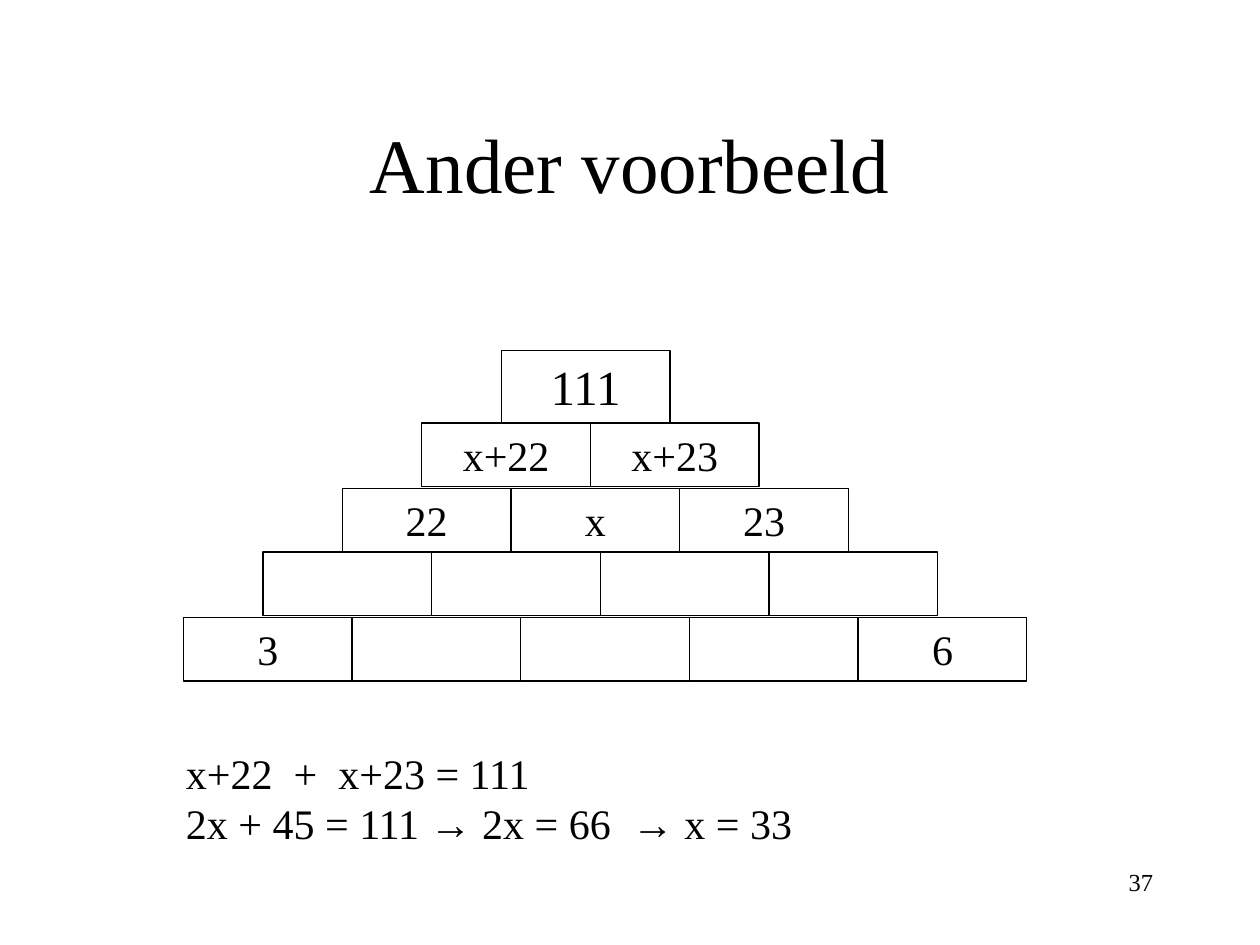
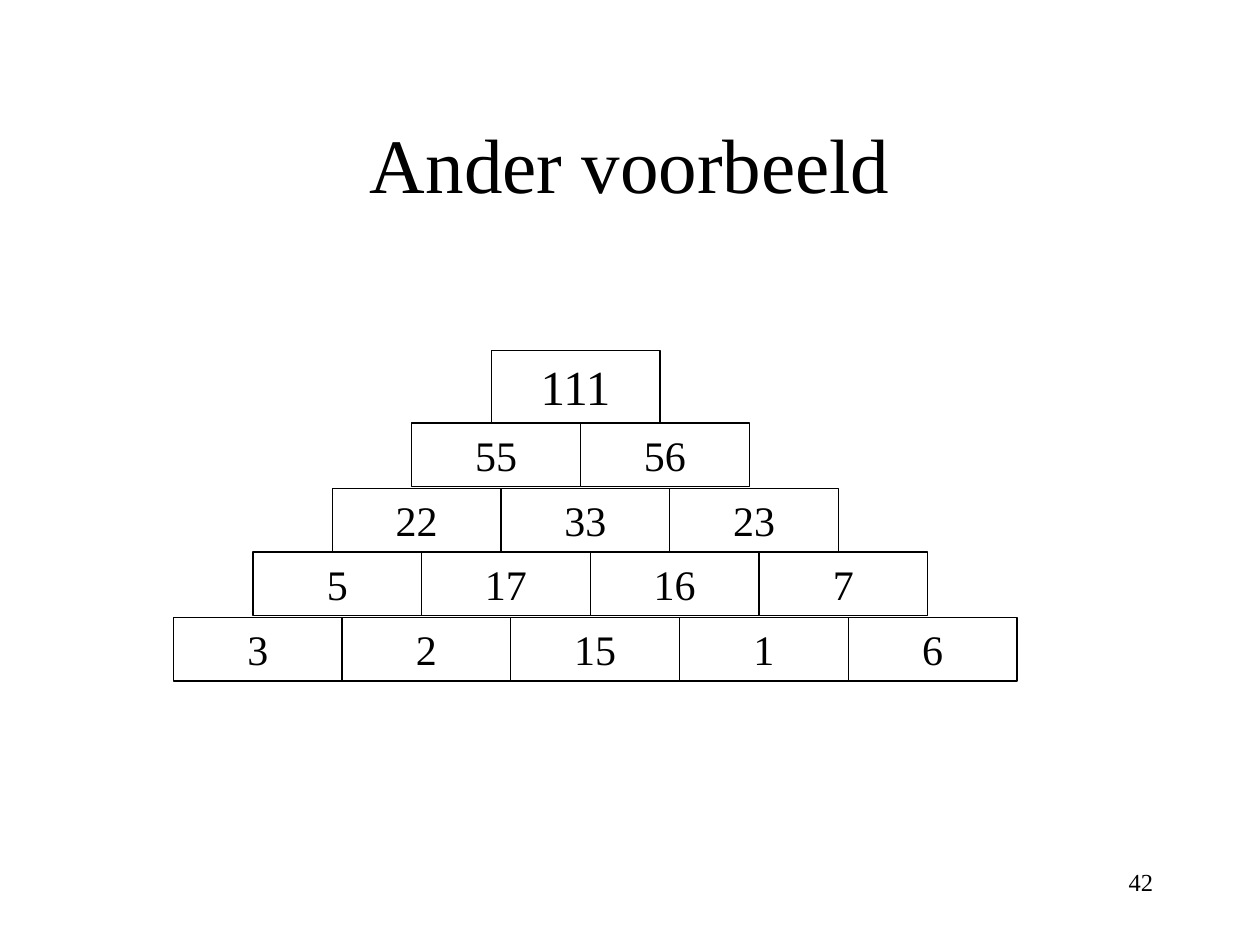
from dataclasses import dataclass

from pptx import Presentation
from pptx.dml.color import RGBColor
from pptx.enum.shapes import MSO_SHAPE as Preset
from pptx.enum.text import MSO_ANCHOR as Anchor, PP_ALIGN as Align
from pptx.util import Pt


@dataclass(frozen=True)
class Theme:
    ink: RGBColor = RGBColor(0, 0, 0)
    paper: RGBColor = RGBColor(255, 255, 255)
    font: str = "Times New Roman"
    arrow_font: str = "Arial"
    title_size: float = 44
    top_size: float = 28
    body_size: float = 24
    number_size: float = 14
    outline: float = 0.75


THEME = Theme()
TITLE = "Ander voorbeeld"
ARROW = "→"
WIDE_GAP = "~"
BRICK_WIDTH = 96.4
ROW_INDENT = 45.4
TOP_ROW = (200.2, 41.3)
LOWER_ROW_HEIGHT = 36.2
LOWER_ROW_TOPS = (241.8, 279.1, 315.4, 352.9)

UNKNOWN_ROWS = (
    ("111",),
    ("x+22", "x+23"),
    ("22", "x", "23"),
    ("", "", "", ""),
    ("3", "", "", "", "6"),
)
SOLVED_ROWS = (
    ("111",),
    ("55", "56"),
    ("22", "33", "23"),
    ("5", "17", "16", "7"),
    ("3", "2", "15", "1", "6"),
)
EQUATIONS = (
    ("x+22", WIDE_GAP, "+", WIDE_GAP, "x+23 = 111"),
    ("2x + 45 = 111 ", ARROW, " 2x = 66", WIDE_GAP, ARROW, " x = 33"),
)


def style_paragraph(paragraph, size, align):
    paragraph.alignment = align
    paragraph.font.name = THEME.font
    paragraph.font.size = Pt(size)
    paragraph.font.color.rgb = THEME.ink


def add_piece(paragraph, piece):
    run = paragraph.add_run()
    run.text = " " if piece == WIDE_GAP else piece
    if piece == ARROW:
        run.font.name = THEME.arrow_font
    elif piece == WIDE_GAP:
        space_width = round(THEME.body_size / 4 * 100)
        run._r.get_or_add_rPr().set("spc", str(space_width))


def add_label(slide, box, lines, size, align, anchor=Anchor.TOP):
    label = slide.shapes.add_textbox(*map(Pt, box))
    frame = label.text_frame
    frame.word_wrap = True
    frame.vertical_anchor = anchor
    for index, pieces in enumerate(lines):
        paragraph = frame.add_paragraph() if index else frame.paragraphs[0]
        style_paragraph(paragraph, size, align)
        for piece in pieces:
            add_piece(paragraph, piece)


def add_brick(wall, left, top, height, value, size):
    brick = wall.shapes.add_shape(
        Preset.RECTANGLE, Pt(left), Pt(top), Pt(BRICK_WIDTH), Pt(height))
    brick.shadow.inherit = False
    brick.fill.background()
    brick.line.color.rgb = THEME.ink
    brick.line.width = Pt(THEME.outline)
    if value:
        frame = brick.text_frame
        frame.word_wrap = True
        frame.vertical_anchor = Anchor.TOP
        frame.text = value
        style_paragraph(frame.paragraphs[0], size, Align.CENTER)


def add_number_wall(slide, peak_left, rows):
    wall = slide.shapes.add_group_shape()
    courses = [TOP_ROW] + [(top, LOWER_ROW_HEIGHT) for top in LOWER_ROW_TOPS]
    for depth, (values, (top, height)) in enumerate(zip(rows, courses)):
        size = THEME.body_size if depth else THEME.top_size
        row_left = peak_left - depth * ROW_INDENT
        for column, value in enumerate(values):
            left = row_left + column * BRICK_WIDTH
            add_brick(wall, left, top, height, value, size)


def add_example(deck, number, peak_left, rows):
    slide = deck.slides.add_slide(deck.slide_layouts[6])
    slide.background.fill.solid()
    slide.background.fill.fore_color.rgb = THEME.paper
    add_label(slide, (54, 48, 612, 90), [[TITLE]],
              THEME.title_size, Align.CENTER, Anchor.MIDDLE)
    add_label(slide, (516, 492, 150, 36), [[number]],
              THEME.number_size, Align.RIGHT)
    add_number_wall(slide, peak_left, rows)
    return slide


def main():
    deck = Presentation()
    deck.slide_width, deck.slide_height = Pt(720), Pt(540)
    unsolved = add_example(deck, "37", 286.4, UNKNOWN_ROWS)
    add_label(unsolved, (99.2, 423.4, 465, 65), EQUATIONS,
              THEME.body_size, Align.LEFT)
    add_example(deck, "42", 280.7, SOLVED_ROWS)
    deck.save("out.pptx")


if __name__ == "__main__":
    main()
